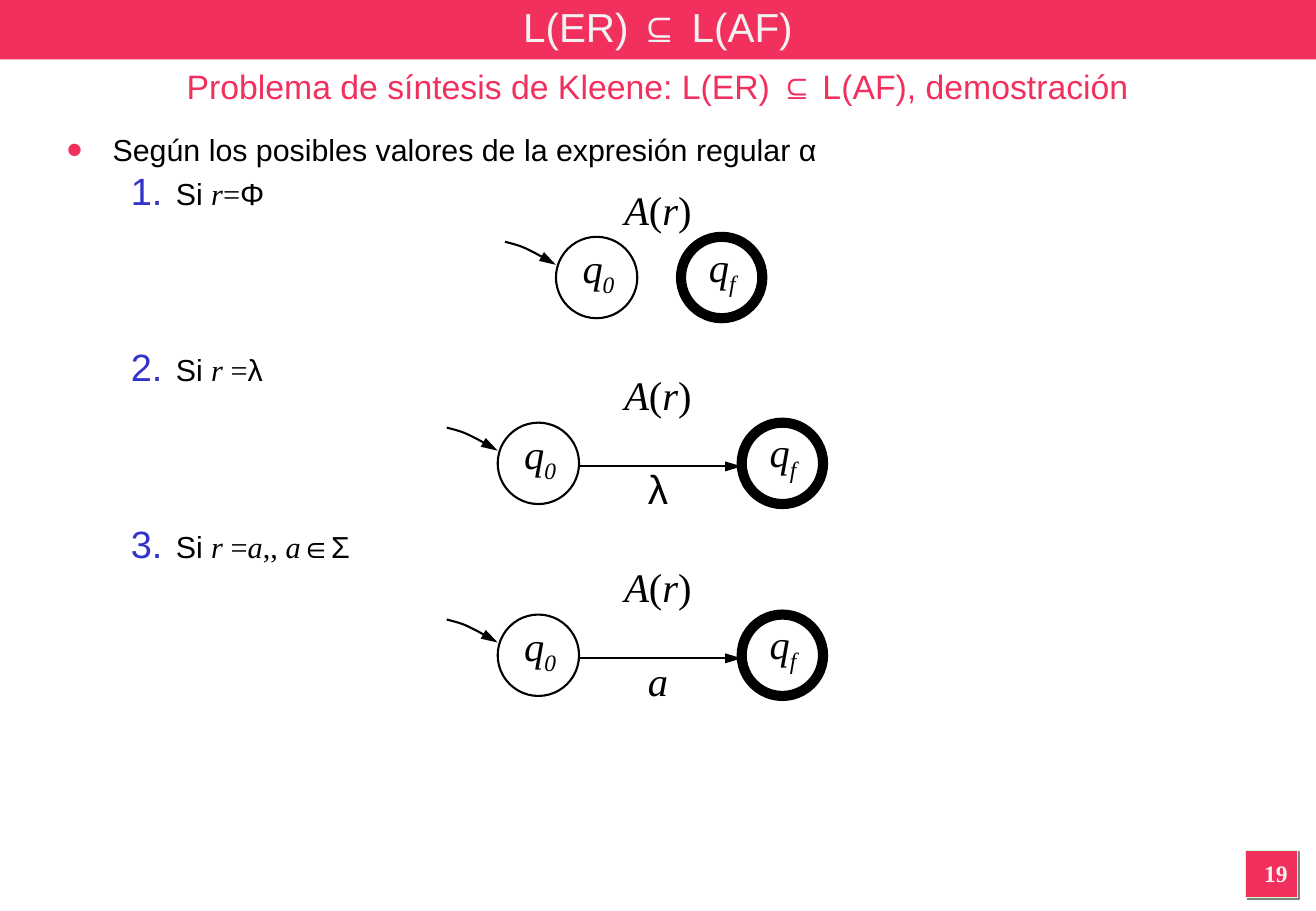
import pptx
import pptx.util
import pptx.dml.color
import pptx.enum.shapes
import pptx.enum.text
import pptx.oxml.ns
from lxml import etree

Inches, Pt = pptx.util.Inches, pptx.util.Pt
SHAPE = pptx.enum.shapes.MSO_SHAPE
ALIGN = pptx.enum.text.PP_ALIGN
FIT = pptx.enum.text.MSO_AUTO_SIZE
ANCHOR = pptx.enum.text.MSO_ANCHOR

COLORS = {"pink": "F2305E", "pale": "F2F2F2", "ink": "000000",
          "blue": "3333CC", "mint": "CCFFCC", "gray": "808080"}
SANS, SERIF = "Arial", "Times New Roman"
# Run styles: font, italic, baseline shift
STYLES = {"sans": (SANS, False, 0), "serif": (SERIF, False, 0),
          "var": (SERIF, True, 0), "sub": (SERIF, True, -25000)}


def color(name):
    return pptx.dml.color.RGBColor.from_string(COLORS[name])


def add(parent, tag, **attrs):
    node = etree.SubElement(parent, pptx.oxml.ns.qn(tag))
    for key, value in attrs.items():
        node.set(key, str(value))
    return node


def bezier(a, b, c, d, steps=8):
    """Points along a cubic curve, without its start."""
    for n in range(1, steps + 1):
        t = n / steps
        u = 1 - t
        yield tuple(u**3 * p + 3 * u * u * t * q + 3 * u * t * t * r + t**3 * s
                    for p, q, r, s in zip(a, b, c, d))


class Slide:
    def __init__(self, deck):
        self.slide = deck.slides.add_slide(deck.slide_layouts[5])
        self.shapes = self.slide.shapes

    def fill(self, para, runs, size, tint, font=SANS, bold=False):
        """Writes plain text, or (text, style) pairs, in a paragraph."""
        base = para.font
        base.size, base.name, base.bold = Pt(size), font, bold
        base.color.rgb = color(tint)
        if isinstance(runs, str):
            para.add_run().text = runs
            return
        for text, style in runs:
            run = para.add_run()
            run.text = text
            run.font.name, run.font.italic, shift = STYLES[style]
            if shift:
                run.font.size = Pt(size)
                run._r.get_or_add_rPr().set("baseline", str(shift))

    def title(self, text, height):
        box = self.shapes.title
        box.left, box.top = Inches(0), Inches(0)
        box.width, box.height = Inches(10.84), Inches(height)
        frame = box.text_frame
        frame.auto_size = FIT.NONE
        frame.vertical_anchor = ANCHOR.MIDDLE
        para = frame.paragraphs[0]
        para.alignment = ALIGN.CENTER
        self.fill(para, text, 24, "pale")

    def text(self, x, y, w, h, runs, size, tint="ink", wrap=True, **font):
        box = self.shapes.add_textbox(Inches(x), Inches(y), Inches(w), Inches(h))
        frame = box.text_frame
        frame.word_wrap = wrap
        if not wrap:
            frame.auto_size = FIT.SHAPE_TO_FIT_TEXT
        para = frame.paragraphs[0]
        para.alignment = ALIGN.CENTER
        self.fill(para, runs, size, tint, **font)

    def label(self, center, y, w, h, runs):
        self.text(center - w / 2, y, w, h, runs, 24, wrap=False)

    def shape(self, kind, x, y, w, h, fill=None, line=None, width=1.25):
        item = self.shapes.add_shape(kind, Inches(x), Inches(y), Inches(w), Inches(h))
        item.shadow.inherit = False
        if fill:
            item.fill.solid()
            item.fill.fore_color.rgb = color(fill)
        else:
            item.fill.background()
        if line:
            item.line.color.rgb = color(line)
            item.line.width = Pt(width)
        else:
            item.line.fill.background()
        return item

    def arrow(self, item):
        item.line.color.rgb = color("ink")
        item.line.width = Pt(1.25)
        add(item.line._get_or_add_ln(), "a:tailEnd", type="triangle", len="lg")

    def entry(self, x, y):
        """Curved arrow into a start state."""
        curves = [((0, 0), (0.03, 0.01), (0.09, 0.02), (0.16, 0.05)),
                  ((0.16, 0.05), (0.23, 0.08), (0.37, 0.16), (0.42, 0.19))]
        points = [(x + dx, y + dy) for curve in curves for dx, dy in bezier(*curve)]
        pen = self.shapes.build_freeform(Inches(x), Inches(y))
        pen.add_line_segments([(Inches(px), Inches(py)) for px, py in points], close=False)
        item = pen.convert_to_shape()
        item.shadow.inherit = False
        item.fill.background()
        self.arrow(item)

    def edge(self, start, end, y):
        item = self.shapes.add_connector(pptx.enum.shapes.MSO_CONNECTOR.STRAIGHT,
                                         Inches(start), Inches(y), Inches(end), Inches(y))
        self.arrow(item)
        add(item.element.spPr, "a:effectLst")

    def graph(self, start, end, y, symbol=None):
        """Automaton with a start state, a final state and an optional edge."""
        size, middle = 0.67, 5.42
        self.entry(start - 0.42, y + 0.04)
        self.shape(SHAPE.OVAL, end, y, size, size, line="ink", width=6)
        self.shape(SHAPE.OVAL, start, y, size, size, line="ink")
        self.label(middle, y - 0.48, 1, 0.5,
                   [("A", "var"), ("(", "serif"), ("r", "var"), (")", "serif")])
        self.label(end + 0.34, y - 0.01, 0.5, 0.56, [("q", "var"), ("f", "sub")])
        self.label(start + 0.35, y, 0.55, 0.56, [("q", "var"), ("0", "sub")])
        if symbol:
            self.edge(start + size, end, y + 0.36)
            self.label(middle, y + 0.29, 0.5, 0.5, [symbol])

    def list(self, x, y, w, h, head, cases):
        box = self.shapes.add_textbox(Inches(x), Inches(y), Inches(w), Inches(h))
        frame = box.text_frame
        frame.word_wrap = True
        self.item(frame.paragraphs[0], head, 0.38, -0.38, "pink", 150, "a:buChar", char="•")
        for n, case in enumerate(cases):
            para = frame.add_paragraph()
            para.level = 1
            para.space_before = Pt(83 if n else 4.5)
            self.item(para, case, 0.9, -0.37, "blue", 125,
                      "a:buAutoNum", type="arabicPeriod")

    def item(self, para, runs, left, indent, tint, scale, tag, **mark):
        props = para._p.get_or_add_pPr()
        props.set("marL", str(Inches(left)))
        props.set("indent", str(Inches(indent)))
        add(add(props, "a:buClr"), "a:srgbClr", val=COLORS[tint])
        add(props, "a:buSzPct", val=scale * 1000)
        add(props, "a:buFont", typeface=SANS)
        add(props, tag, **mark)
        self.fill(para, runs, 18, "ink")

    def number(self, text):
        tile = self.shape(SHAPE.RECTANGLE, 10.26, 7, 0.43, 0.39, "pink", "mint", 0.75)
        effects = tile.element.spPr.find(pptx.oxml.ns.qn("a:effectLst"))
        shade = add(effects, "a:outerShdw", dist=Pt(1.4), dir=45 * 60000,
                    algn="ctr", rotWithShape=0)
        add(shade, "a:srgbClr", val=COLORS["gray"])
        self.text(10.24, 7.02, 0.54, 0.35, text, 14, "pale", font=SERIF, bold=True)


def main():
    deck = pptx.Presentation()
    deck.slide_width, deck.slide_height = Inches(10.84), Inches(7.5)
    page = Slide(deck)
    page.title("L(ER) ⊆ L(AF)", 0.44)
    band = page.shape(SHAPE.RECTANGLE, 0, 0, 10.84, 0.49, "pink")
    page.shapes.title.element.addprevious(band.element)
    page.list(0.45, 1.03, 9.96, 5.8,
              "Según los posibles valores de la expresión regular α",
              [[("Si ", "sans"), ("r", "var"), ("=", "serif"), ("Φ", "sans")],
               [("Si ", "sans"), ("r", "var"), (" =", "serif"), ("λ", "sans")],
               [("Si ", "sans"), ("r", "var"), (" =", "serif"), ("a", "var"),
                (",, ", "serif"), ("a", "var"), ("∈Σ", "sans")]])
    page.text(0, 0.49, 10.84, 0.44,
              "Problema de síntesis de Kleene: L(ER) ⊆ L(AF), demostración", 20, "pink")
    page.graph(4.58, 5.61, 1.95)
    page.graph(4.1, 6.11, 3.48, ("λ", "sans"))
    page.graph(4.1, 6.11, 5.06, ("a", "var"))
    page.number("19")
    deck.save("out.pptx")


if __name__ == "__main__":
    main()
